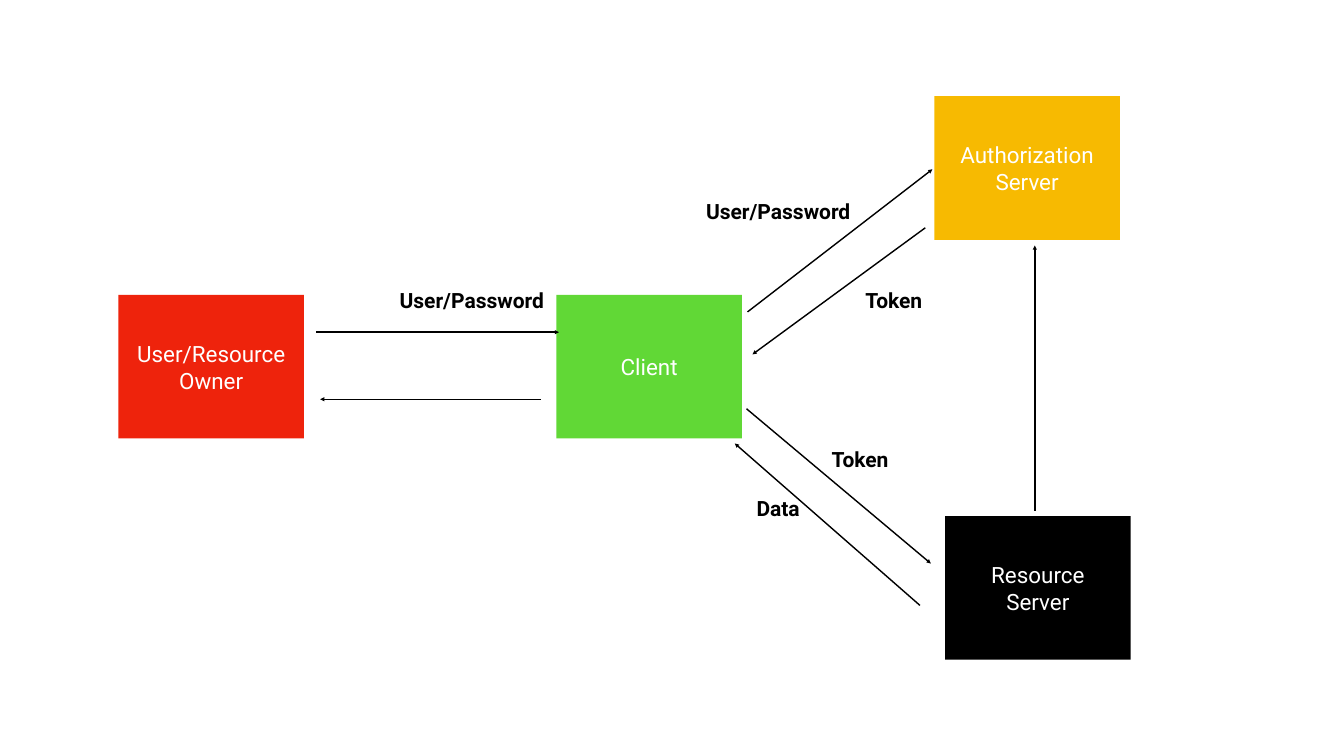
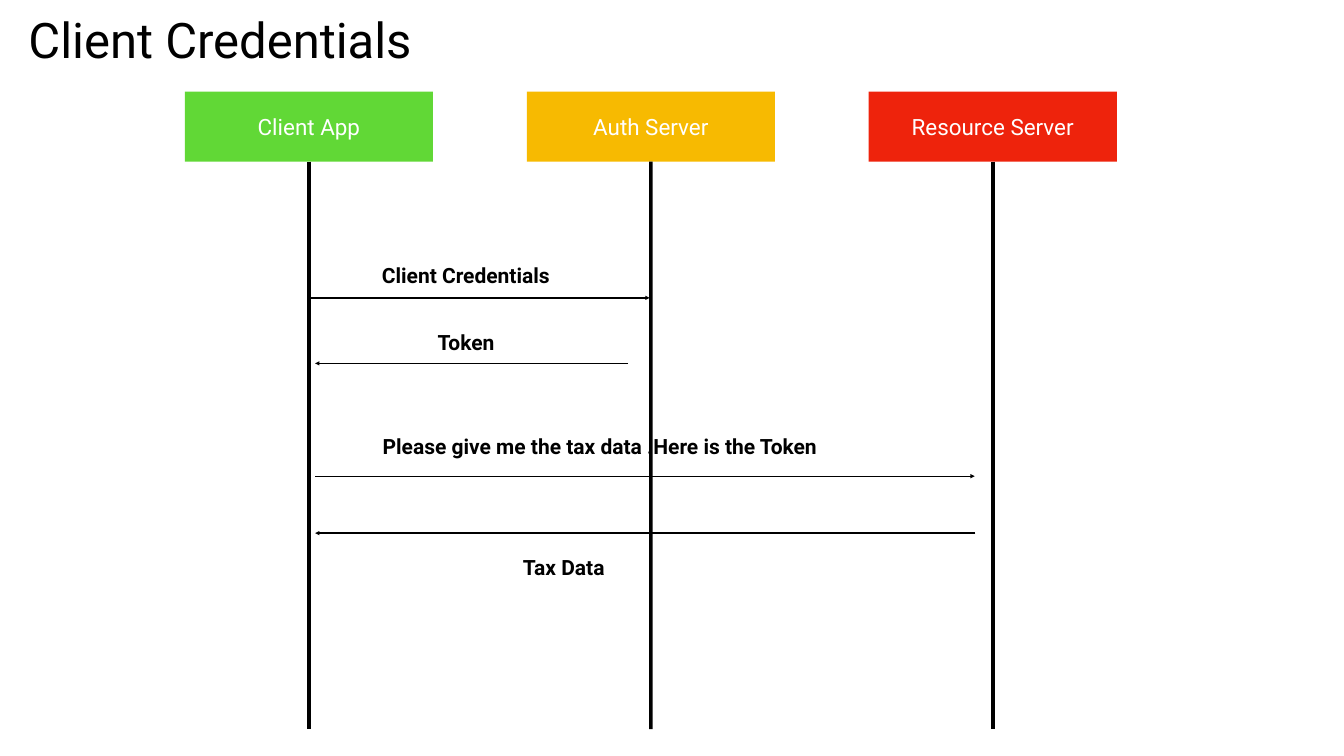
from pptx import Presentation
from pptx.dml.color import RGBColor
from pptx.enum.shapes import MSO_CONNECTOR as CONN, MSO_SHAPE as SHAPE
from pptx.enum.text import MSO_ANCHOR as ANCHOR, MSO_AUTO_SIZE as AUTO, PP_ALIGN as ALIGN
from pptx.oxml.ns import qn
from pptx.util import Cm, Pt
from lxml.etree import SubElement

FONT = "Roboto"
BLACK, WHITE = "000000", "FFFFFF"
GREEN, YELLOW, RED = "61D836", "F7BA01", "EE230C"
BOX_W, BOX_H = 9.35, 7.24
HEAD_W, HEAD_H = 12.5, 3.53
HEAD_LEFT, HEAD_TOP, HEAD_STEP = 9.32, 4.62, 17.23
LIFELINE_END = 36.75
LABEL_H = 1.55


def rgb(color):
    return RGBColor.from_string(color)


def write(sp, text, size, color, bold=False, wrap=True, inset=0.0):
    tf = sp.text_frame
    tf.text = text
    tf.word_wrap = wrap
    tf.vertical_anchor = ANCHOR.MIDDLE
    tf.margin_left = tf.margin_right = tf.margin_top = tf.margin_bottom = Cm(inset)
    for p in tf.paragraphs:
        p.alignment = ALIGN.CENTER
        p.font.name = FONT
        p.font.size = Pt(size)
        p.font.bold = bold
        p.font.color.rgb = rgb(color)


def add_title(s, text, x, y, w, h):
    sp = s.shapes.title
    sp.left, sp.top, sp.width, sp.height = Cm(x), Cm(y), Cm(w), Cm(h)
    write(sp, text, 70, BLACK, wrap=False, inset=0.15)


def add_box(s, text, x, y, w, h, fill):
    sp = s.shapes.add_shape(SHAPE.RECTANGLE, Cm(x), Cm(y), Cm(w), Cm(h))
    sp.shadow.inherit = False
    sp.fill.solid()
    sp.fill.fore_color.rgb = rgb(fill)
    sp.line.fill.background()
    write(sp, text, 32, WHITE)
    return sp


def add_label(s, text, x, y, w):
    sp = s.shapes.add_textbox(Cm(x), Cm(y), Cm(w), Cm(LABEL_H))
    write(sp, text, 30, BLACK, bold=True, wrap=False, inset=0.15)
    sp.text_frame.auto_size = AUTO.SHAPE_TO_FIT_TEXT


def add_line(s, x1, y1, x2, y2, width):
    cn = s.shapes.add_connector(CONN.STRAIGHT, Cm(x1), Cm(y1), Cm(x2), Cm(y2))
    cn.line.color.rgb = rgb(BLACK)
    cn.line.width = Pt(width)
    SubElement(cn._element.spPr, qn("a:effectLst"))
    return cn


def add_arrow(s, x1, y1, x2, y2):
    cn = add_line(s, x1, y1, x2, y2, 2)
    SubElement(cn.line._get_or_add_ln(), qn("a:tailEnd"), type="triangle")


def add_lifeline(s, head, x):
    cn = add_line(s, x, HEAD_TOP + HEAD_H, x, LIFELINE_END, 5)
    cn.begin_connect(head, 2)


def build_flow(prs):
    s = prs.slides.add_slide(prs.slide_layouts[6])
    for text, x, y, fill in (
        ("Authorization\nServer", 47.09, 4.85, YELLOW),
        ("Resource\nServer", 47.63, 26.01, BLACK),
        ("Client", 28.04, 14.86, GREEN),
        ("User/Resource Owner", 5.97, 14.86, RED),
    ):
        add_box(s, text, x, y, BOX_W, BOX_H, fill)
    for ends in (
        (15.93, 16.74, 28.17, 16.74),
        (27.25, 20.12, 16.13, 20.12),
        (37.67, 15.72, 46.99, 8.53),
        (46.63, 11.48, 37.92, 17.86),
        (37.62, 20.6, 46.91, 28.4),
        (46.36, 30.51, 37.03, 22.35),
        (52.15, 25.73, 52.15, 12.37),
    ):
        add_arrow(s, *ends)
    for label in (
        ("User/Password", 19.74, 14.35, 8.08),
        ("User/Password", 35.18, 9.86, 8.08),
        ("Token", 43.38, 14.35, 3.33),
        ("Token", 41.68, 22.35, 3.33),
        ("Data", 37.87, 24.82, 2.69),
    ):
        add_label(s, *label)


def build_sequence(prs):
    s = prs.slides.add_slide(prs.slide_layouts[5])
    add_title(s, "Client Credentials", 1.17, 0.36, 19.84, 3.18)
    heads = (("Client App", GREEN), ("Auth Server", YELLOW), ("Resource Server", RED))
    for i, (text, fill) in enumerate(heads):
        x = HEAD_LEFT + i * HEAD_STEP
        head = add_box(s, text, x, HEAD_TOP, HEAD_W, HEAD_H, fill)
        add_lifeline(s, head, x + HEAD_W / 2)
    for start, end, y, label in (
        (15.62, 32.74, 15.01, ("Client Credentials", 18.82, 13.08, 9.32)),
        (31.65, 15.88, 18.31, ("Token", 21.82, 16.48, 3.33)),
        (15.88, 49.12, 24, ("Please give me the tax data .Here is the Token", 18.47, 21.69, 23.52)),
        (49.15, 15.88, 26.87, ("Tax Data", 26.06, 27.81, 4.7)),
    ):
        add_arrow(s, start, y, end, y)
        add_label(s, *label)


def main():
    prs = Presentation()
    prs.slide_width, prs.slide_height = Cm(67.73), Cm(38.1)
    build_flow(prs)
    build_sequence(prs)
    prs.save("out.pptx")


if __name__ == "__main__":
    main()
